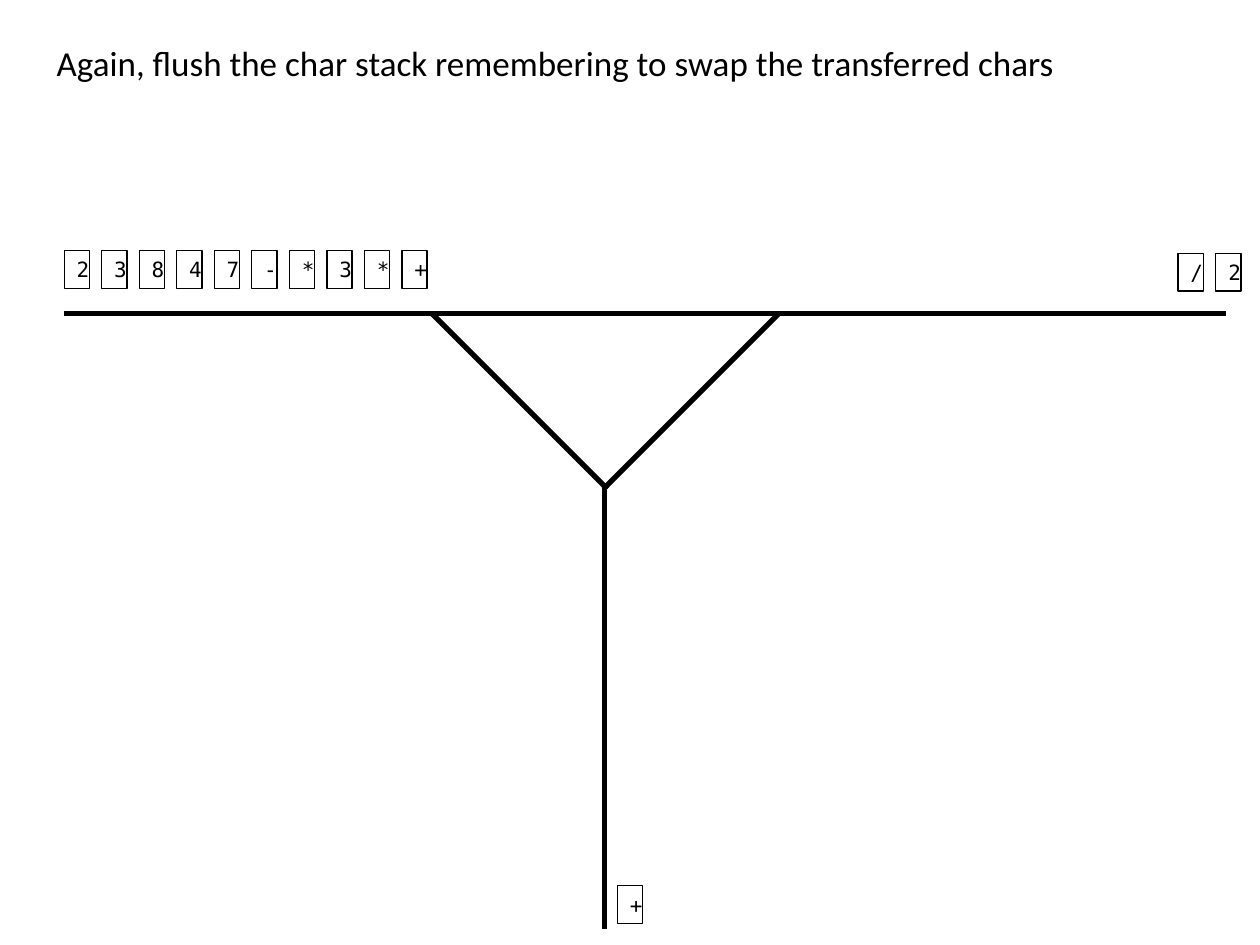
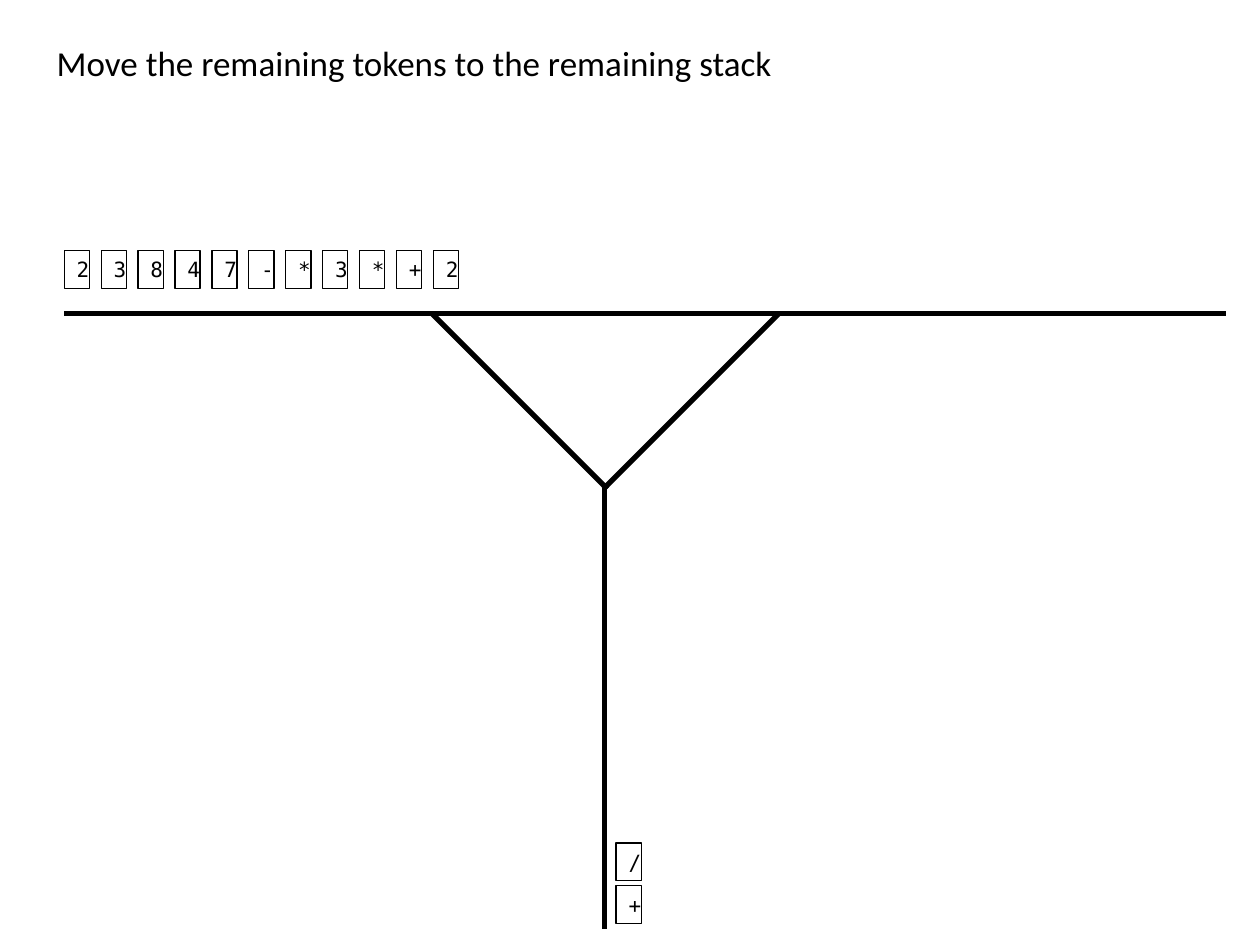
from dataclasses import dataclass

from lxml.etree import SubElement
from pptx import Presentation
from pptx.dml.color import RGBColor
from pptx.enum.shapes import MSO_CONNECTOR, MSO_SHAPE
from pptx.enum.text import MSO_ANCHOR, MSO_AUTO_SIZE, PP_ALIGN
from pptx.oxml.ns import qn
from pptx.util import Inches, Pt


@dataclass(frozen=True)
class Theme:
    ink: RGBColor = RGBColor(0, 0, 0)
    title_font: str = "Calibri"
    title_size: Pt = Pt(20)
    token_font: str = "DejaVu Sans Mono"
    token_size: Pt = Pt(12)
    token_line: Pt = Pt(0.75)
    track_line: Pt = Pt(3)


theme = Theme()

TOKEN_W, TOKEN_H = 0.2, 0.3
OUTPUT_LEFT, OUTPUT_TOP = 0.51, 1.99
INPUT_LEFT, INPUT_TOP, INPUT_PITCH = 9.35, 2.01, 0.3
STACK_BOTTOM, STACK_PITCH = 7.03, 0.34

# Railway-yard tracks: x1, y1, x2, y2
TRACKS = [
    (9.73, 2.49, 0.51, 2.49),
    (3.43, 2.49, 4.82, 3.88),
    (6.18, 2.49, 4.79, 3.88),
    (4.8, 3.83, 4.8, 7.37),
]

# Stack tokens run from the bottom up
STEPS = [
    dict(title="Again, flush the char stack remembering to swap the transferred chars",
         output="23847-*3*+", output_end=3.19, input="/2", stack="+", stack_left=4.9),
    dict(title="Move the remaining tokens to the remaining stack",
         output="23847-*3*+2", output_end=3.44, input="", stack="+/", stack_left=4.89),
]


def add_text(tf, text, font, size, align):
    tf.word_wrap = True
    tf.auto_size = MSO_AUTO_SIZE.NONE
    tf.vertical_anchor = MSO_ANCHOR.MIDDLE
    tf.margin_left = tf.margin_right = Inches(0.1)
    tf.margin_top = tf.margin_bottom = Inches(0.05)
    p = tf.paragraphs[0]
    p.alignment = align
    r = p.add_run()
    r.text = text
    r.font.name = font
    r.font.size = size
    r.font.color.rgb = theme.ink


def add_token(s, char, left, top):
    sp = s.shapes.add_shape(MSO_SHAPE.RECTANGLE, Inches(left), Inches(top),
                            Inches(TOKEN_W), Inches(TOKEN_H))
    sp.shadow.inherit = False
    sp.fill.background()
    sp.line.color.rgb = theme.ink
    sp.line.width = theme.token_line
    add_text(sp.text_frame, char, theme.token_font, theme.token_size, PP_ALIGN.CENTER)


prs = Presentation()
prs.slide_width, prs.slide_height = Inches(10), Inches(7.5)
title_only = prs.slide_layouts[5]

for step in STEPS:
    s = prs.slides.add_slide(title_only)

    title = s.shapes.title
    title.left, title.top = Inches(0.35), Inches(0.28)
    title.width, title.height = Inches(9.29), Inches(0.44)
    add_text(title.text_frame, step["title"], theme.title_font, theme.title_size,
             PP_ALIGN.LEFT)

    for track in TRACKS:
        line = s.shapes.add_connector(MSO_CONNECTOR.STRAIGHT, *map(Inches, track))
        line.line.color.rgb = theme.ink
        line.line.width = theme.track_line
        SubElement(line._element.spPr, qn("a:effectLst"))

    output_pitch = (step["output_end"] - OUTPUT_LEFT) / (len(step["output"]) - 1)
    for i, char in enumerate(step["output"]):
        add_token(s, char, OUTPUT_LEFT + i * output_pitch, OUTPUT_TOP)
    for i, char in enumerate(step["input"]):
        add_token(s, char, INPUT_LEFT + i * INPUT_PITCH, INPUT_TOP)
    for i, char in enumerate(step["stack"]):
        add_token(s, char, step["stack_left"], STACK_BOTTOM - i * STACK_PITCH)

prs.save("out.pptx")
